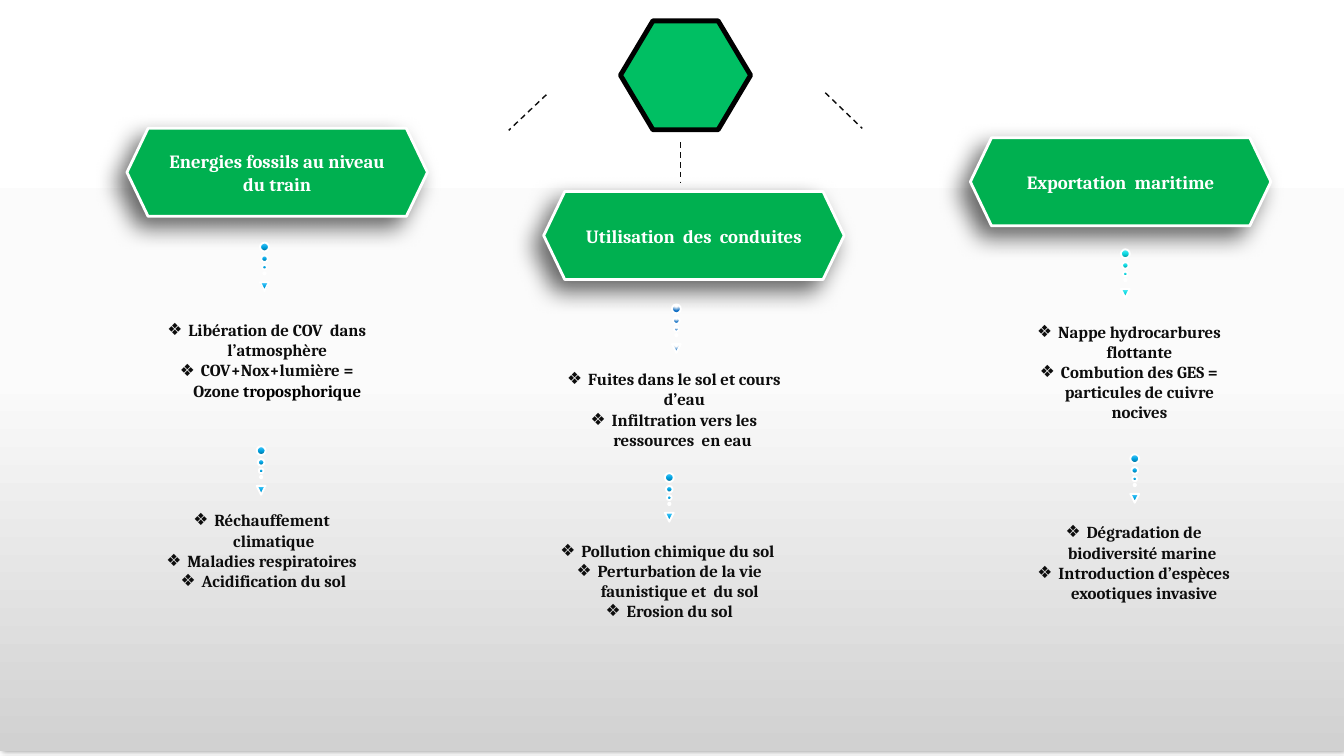
import lxml.etree
import pptx
import pptx.dml.color
import pptx.enum.dml
import pptx.enum.shapes
import pptx.enum.text
import pptx.oxml
import pptx.oxml.ns
import pptx.util

Pt = pptx.util.Pt
RGB = pptx.dml.color.RGBColor
SHAPE = pptx.enum.shapes.MSO_SHAPE
CENTER = pptx.enum.text.PP_ALIGN.CENTER

WHITE = RGB(0xFF, 0xFF, 0xFF)
BLACK = RGB(0x00, 0x00, 0x00)
INK = RGB(0x0D, 0x0D, 0x0D)
GREEN = RGB(0x00, 0xB0, 0x50)
BRIGHT_GREEN = RGB(0x00, 0xBF, 0x63)
PALE = RGB(0xFB, 0xFB, 0xFB)
GREY = RGB(0xD1, 0xD1, 0xD1)
DEEP_BLUE = RGB(0x00, 0x69, 0x91)
BLUE = RGB(0x00, 0xA3, 0xE2)
SKY = RGB(0x4F, 0xCE, 0xFF)
DEEP_CYAN = RGB(0x07, 0x8B, 0x91)
CYAN = RGB(0x0B, 0xD8, 0xE1)
PALE_CYAN = RGB(0x5E, 0xF0, 0xF7)
ROYAL = RGB(0x0F, 0x6F, 0xC6)

DOWN = '<a:lin ang="5400000" scaled="0"/>'
UP = '<a:lin ang="16200000" scaled="0"/>'
RADIAL = '<a:path path="circle"><a:fillToRect l="50000" t="-80000" r="50000" b="180000"/></a:path>'
BACKDROP_FADE = ([(0, WHITE), (50, PALE), (100, GREY)], DOWN)
BLUE_FADE = ([(0, DEEP_BLUE), (48, BLUE), (100, SKY)], UP)
CYAN_FADE = ([(0, DEEP_CYAN), (48, CYAN), (100, PALE_CYAN)], UP)
ROYAL_FADE = ([(0, WHITE), (35, WHITE), (100, ROYAL)], RADIAL)

HEADING_FONT = {"name": "Cambria", "size": Pt(20), "bold": True}
LIST_FONT = {"name": "Cambria", "size": Pt(18), "bold": True}
LIST_PARAGRAPH = {"alignment": CENTER, "space_before": Pt(0), "space_after": Pt(0), "line_spacing": 1.0}
LIST_FRAME = {
    "word_wrap": True,
    "auto_size": pptx.enum.text.MSO_AUTO_SIZE.NONE,
    "vertical_anchor": pptx.enum.text.MSO_ANCHOR.TOP,
}
NS = pptx.oxml.ns.nsdecls("a")


def fade(shape, stops, direction):
    marks = "".join(f'<a:gs pos="{at * 1000}"><a:srgbClr val="{color}"/></a:gs>' for at, color in stops)
    shape._element.spPr.insert(
        2, pptx.oxml.parse_xml(f"<a:gradFill {NS}><a:gsLst>{marks}</a:gsLst>{direction}</a:gradFill>"))


def cast_shadow(shape, opacity, blur, distance, angle):
    shape.shadow.inherit = False
    shape._element.spPr.find(pptx.oxml.ns.qn("a:effectLst")).append(pptx.oxml.parse_xml(
        f'<a:outerShdw {NS} blurRad="{Pt(blur)}" dist="{Pt(distance)}" dir="{angle * 60000}" '
        f'algn="ctr" rotWithShape="0"><a:srgbClr val="{BLACK}">'
        f'<a:alpha val="{opacity * 1000}"/></a:srgbClr></a:outerShdw>'))


deck = pptx.Presentation()
deck.slide_width, deck.slide_height = Pt(1440), Pt(810)
layout = deck.slide_layouts[1]
slide = deck.slides.add_slide(layout)
for unused in list(slide.placeholders):
    unused._element.getparent().remove(unused._element)

backdrop = slide.shapes.add_shape(SHAPE.RECTANGLE, 0, 0, Pt(1440), Pt(805))
fade(backdrop, *BACKDROP_FADE)
backdrop.line.fill.background()
cast_shadow(backdrop, 40, 4, 3, 0)

outline = slide.shapes.build_freeform(Pt(804.2), Pt(80.6))
outline.add_line_segments(
    [(Pt(x), Pt(y)) for x, y in [(769.4, 139), (699.6, 139), (664.8, 80.6), (699.6, 22.3), (769.4, 22.3)]])
hub = outline.convert_to_shape()
hub.fill.solid()
hub.fill.fore_color.rgb = BRIGHT_GREEN
hub.line.color.rgb = BLACK
hub.line.width = Pt(5.25)
hub.shadow.inherit = False

for x1, y1, x2, y2 in [(729.4, 152.6, 729.4, 195.1), (585.4, 101.5, 545, 139.7), (884.2, 99.4, 923.8, 137.5)]:
    spoke = slide.shapes.add_connector(
        pptx.enum.shapes.MSO_CONNECTOR.STRAIGHT, Pt(x1), Pt(y1), Pt(x2), Pt(y2))
    spoke.line.color.rgb = INK
    spoke.line.width = Pt(1.5)
    spoke.line.dash_style = pptx.enum.dml.MSO_LINE.DASH
    lxml.etree.SubElement(spoke._element.spPr, pptx.oxml.ns.qn("a:effectLst"))

for heading, left, top in [
    ("Energies fossils au niveau du train", 136, 137.5),
    ("Utilisation  des  conduites", 582.5, 205.2),
    ("Exportation  maritime", 1039.7, 147.6),
]:
    banner = slide.shapes.add_shape(SHAPE.HEXAGON, Pt(left), Pt(top), Pt(322), Pt(94.3))
    banner.adjustments[0] = 0.24
    banner.fill.solid()
    banner.fill.fore_color.rgb = GREEN
    banner.line.color.rgb = WHITE
    banner.line.width = Pt(3)
    cast_shadow(banner, 60, 25, 15, 135)
    banner.text_frame.text = heading
    banner.text_frame.word_wrap = True
    banner.text_frame.vertical_anchor = pptx.enum.text.MSO_ANCHOR.MIDDLE
    banner.text_frame.paragraphs[0].alignment = CENTER
    heading_font = banner.text_frame.paragraphs[0].runs[0].font
    heading_font.color.rgb = WHITE
    for name, value in HEADING_FONT.items():
        setattr(heading_font, name, value)

TRAIL = [
    (SHAPE.FLOWCHART_CONNECTOR, 0, 9.5),
    (SHAPE.FLOWCHART_CONNECTOR, 13.8, 7),
    (SHAPE.FLOWCHART_CONNECTOR, 23.9, 5),
    (SHAPE.FLOWCHART_CONNECTOR, 31.8, 2.4),
    (SHAPE.FLOWCHART_MERGE, 42.5, 9.5),
]
for center, top, colors in [
    (283.4, 259.9, BLUE_FADE), (724.7, 326.2, ROYAL_FADE), (1205.7, 267.1, CYAN_FADE),
    (279.8, 478.1, BLUE_FADE), (717.1, 506.9, BLUE_FADE), (1215.8, 486.7, BLUE_FADE),
]:
    trail = slide.shapes.add_group_shape()
    for kind, drop, size in TRAIL:
        dot = trail.shapes.add_shape(kind, Pt(center - size / 2), Pt(top + drop), Pt(size), Pt(size))
        fade(dot, *colors)
        dot.line.color.rgb = WHITE
        dot.line.width = Pt(2)
        dot.shadow.inherit = False

LISTS = [
    (159.1, 339.1, 94.3, [["Libération de COV  dans l’atmosphère"],
                          ["COV+Nox+lumière = Ozone ", "troposphorique"]]),
    (595.4, 391.7, 94.3, [["Fuites dans le sol et cours d’eau"],
                          ["Infiltration vers les ressources  en eau "]]),
    (1082.9, 340.6, 116.6, [["Nappe hydrocarbures flottante"],
                            ["Combution des GES = particules de cuivre nocives"]]),
    (155.5, 542.9, 94.3, [["Réchauffement  climatique"], ["Maladies respiratoires "],
                          ["Acidification du sol"]]),
    (590.4, 575.3, 94.3, [["Pollution chimique du sol "],
                          ["Perturbation de la vie faunistique et  du sol"], ["Erosion du sol"]]),
    (1087.9, 555.8, 94.3, [["Dégradation de biodiversité marine "],
                           ["Introduction d’espèces exootiques invasive"]]),
]
for left, top, height, items in LISTS:
    slide.shapes.clone_placeholder(layout.placeholders[1])
    effects = slide.shapes[-1]
    effects.left, effects.top, effects.width, effects.height = Pt(left), Pt(top), Pt(253.4), Pt(height)
    for name, value in LIST_FRAME.items():
        setattr(effects.text_frame, name, value)
    for index, parts in enumerate(items):
        item = effects.text_frame.add_paragraph() if index else effects.text_frame.paragraphs[0]
        for name, value in LIST_PARAGRAPH.items():
            setattr(item, name, value)
        marker = item._p.get_or_add_pPr()
        marker.set("marL", str(Pt(22.5)))
        marker.set("indent", str(-Pt(22.5)))
        lxml.etree.SubElement(marker, pptx.oxml.ns.qn("a:buChar")).set("char", "❖")
        for part, color in zip(parts, [INK, BLACK]):
            words = item.add_run()
            words.text = part
            words.font.color.rgb = color
            for name, value in LIST_FONT.items():
                setattr(words.font, name, value)

deck.save("out.pptx")
